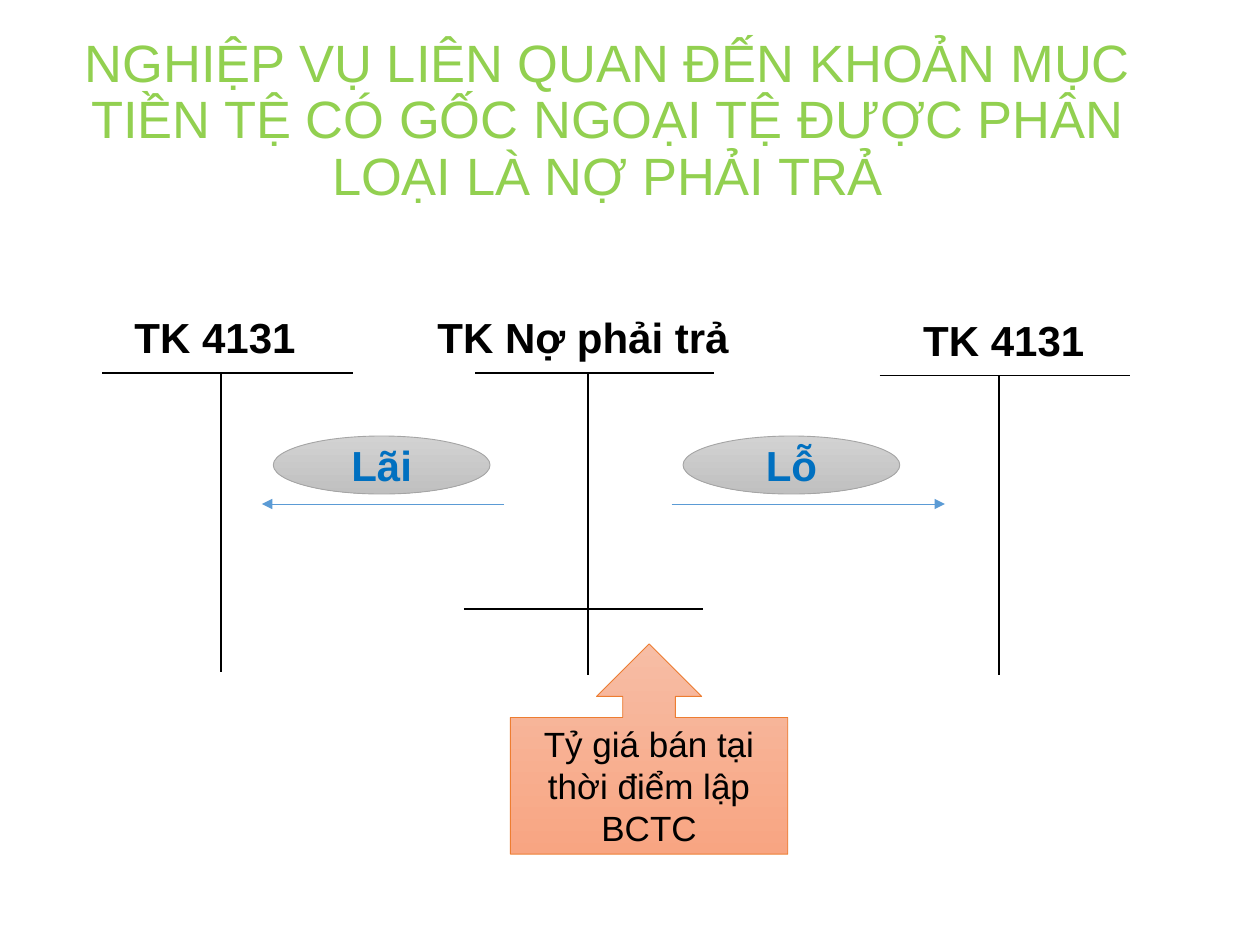
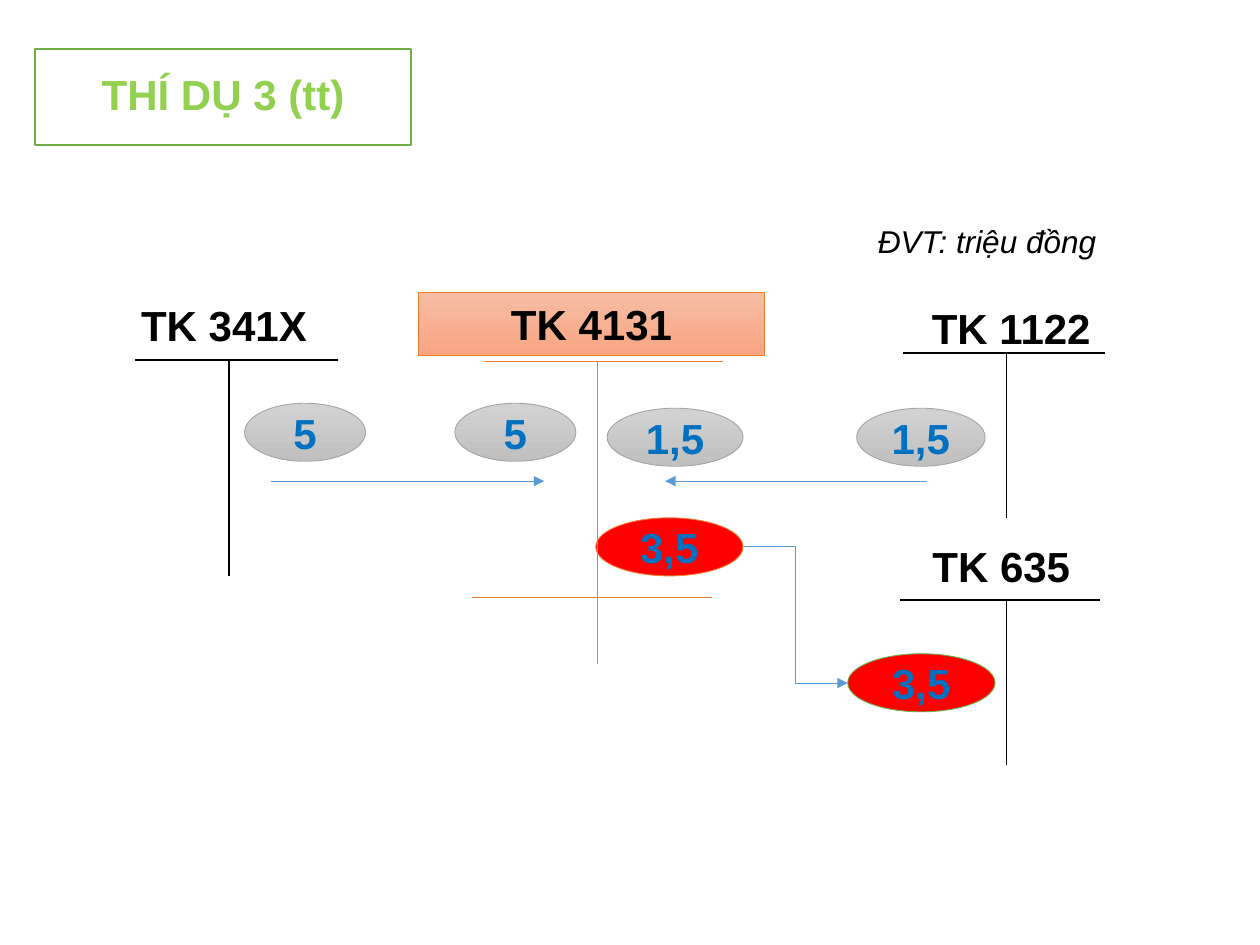
from dataclasses import dataclass
from typing import Optional

from lxml import etree
from pptx import Presentation
from pptx import util as u
from pptx.dml.color import RGBColor
from pptx.enum import shapes, text
from pptx.oxml import ns


# Shared look: colours, gradients (top, bottom) and type sizes
@dataclass(frozen=True)
class Theme:
    font: str = "Arial"
    black: str = "000000"
    white: str = "FFFFFF"
    title: str = "92D050"
    amount: str = "0070C0"
    flow: str = "5B9BD5"
    green: str = "70AD47"
    orange: str = "ED7D31"
    grey: str = "A5A5A5"
    red: str = "FF0000"
    grey_fill: tuple = ("D2D2D2", "C0C0C0")
    orange_fill: tuple = ("F7BDA5", "F8A582")
    heading_size: int = 30
    account_size: int = 24
    callout_size: int = 20
    unit_size: int = 18
    thin: float = 0.5
    thick: float = 1


THEME = Theme()
KIND = shapes.MSO_SHAPE
CONNECTOR = shapes.MSO_CONNECTOR
OVAL_HEIGHT = 1.17
LABEL_WIDTH, LABEL_HEIGHT = 6.99, 1.27
CLOSING_SHIFT = 0.23


# Drawing helpers, all lengths in centimetres
def rgb(colour: str) -> RGBColor:
    return RGBColor.from_string(colour)


def write(shape, words: str, size: int, colour: str, bold: bool = False,
          italic: bool = False, align=text.PP_ALIGN.CENTER, spacing: float = 1) -> None:
    frame = shape.text_frame
    frame.text = words
    paragraph = frame.paragraphs[0]
    formats = {
        frame: {"word_wrap": True, "vertical_anchor": text.MSO_ANCHOR.MIDDLE},
        paragraph: {"alignment": align, "line_spacing": spacing},
        paragraph.font: {"name": THEME.font, "size": u.Pt(size),
                         "bold": bold, "italic": italic},
    }
    for target, values in formats.items():
        for attribute, value in values.items():
            setattr(target, attribute, value)
    paragraph.font.color.rgb = rgb(colour)


def add_box(slide, kind, box: tuple, fill, outline: str, weight: float = THEME.thin):
    shape = slide.shapes.add_shape(kind, *map(u.Cm, box))
    shape.shadow.inherit = False
    if isinstance(fill, tuple):
        shape.fill.gradient()
        shape.fill.gradient_angle = 270
        for stop, colour in zip(shape.fill.gradient_stops, fill):
            stop.color.rgb = rgb(colour)
    else:
        shape.fill.solid()
        shape.fill.fore_color.rgb = rgb(fill)
    shape.line.color.rgb = rgb(outline)
    shape.line.width = u.Pt(weight)
    return shape


def add_line(slide, ends: tuple, colour: str, weight: float,
             arrow: bool = False, kind=CONNECTOR.STRAIGHT) -> None:
    line = slide.shapes.add_connector(kind, *map(u.Cm, ends))
    line.line.color.rgb = rgb(colour)
    line.line.width = u.Pt(weight)
    properties = line._element.spPr
    if arrow:
        etree.SubElement(properties.find(ns.qn("a:ln")), ns.qn("a:tailEnd"), type="triangle")
    etree.SubElement(properties, ns.qn("a:effectLst"))


# Repeated elements
@dataclass(frozen=True)
class Title:
    words: str
    box: tuple
    size: int
    outline: str
    weight: float = THEME.thin
    bold: bool = False

    def draw(self, slide) -> None:
        shape = add_box(slide, KIND.RECTANGLE, self.box, THEME.white, self.outline, self.weight)
        write(shape, self.words, self.size, THEME.title, self.bold, spacing=0.9)


@dataclass(frozen=True)
class Account:
    """A T-account: name, top bar, stem and an optional closing bar."""
    name: str
    corner: tuple
    bar: tuple
    bar_y: float
    stem_x: float
    stem_end: float
    closing_y: Optional[float] = None
    highlighted: bool = False

    def draw(self, slide) -> None:
        box = (*self.corner, LABEL_WIDTH, LABEL_HEIGHT)
        if self.highlighted:
            colour, weight = THEME.orange, THEME.thin
            label = add_box(slide, KIND.RECTANGLE, box, THEME.orange_fill, colour)
        else:
            colour, weight = THEME.black, THEME.thick
            label = slide.shapes.add_textbox(*map(u.Cm, box))
        write(label, self.name, THEME.account_size, THEME.black, bold=True)
        start, end = self.bar
        lines = [(start, self.bar_y, end, self.bar_y),
                 (self.stem_x, self.bar_y, self.stem_x, self.stem_end)]
        if self.closing_y is not None:
            lines.append((start - CLOSING_SHIFT, self.closing_y,
                          end - CLOSING_SHIFT, self.closing_y))
        for ends in lines:
            add_line(slide, ends, colour, weight)


@dataclass(frozen=True)
class Oval:
    words: str
    left: float
    top: float
    width: float
    fill: object = THEME.grey_fill
    outline: str = THEME.grey

    def draw(self, slide) -> None:
        box = (self.left, self.top, self.width, OVAL_HEIGHT)
        shape = add_box(slide, KIND.OVAL, box, self.fill, self.outline)
        write(shape, self.words, THEME.account_size, THEME.amount, bold=True)


@dataclass(frozen=True)
class Flow:
    ends: tuple
    kind: object = CONNECTOR.STRAIGHT

    def draw(self, slide) -> None:
        add_line(slide, self.ends, THEME.flow, THEME.thin, arrow=True, kind=self.kind)


@dataclass(frozen=True)
class Callout:
    words: str
    box: tuple

    def draw(self, slide) -> None:
        shape = add_box(slide, KIND.UP_ARROW_CALLOUT, self.box, THEME.orange_fill, THEME.orange)
        write(shape, self.words, THEME.callout_size, THEME.black)


@dataclass(frozen=True)
class UnitNote:
    words: str
    box: tuple

    def draw(self, slide) -> None:
        note = slide.shapes.add_textbox(*map(u.Cm, self.box))
        write(note, self.words, THEME.unit_size, THEME.black, italic=True,
              align=text.PP_ALIGN.LEFT)


# Slide 1: revaluation of foreign-currency liabilities
LIABILITIES = [
    Title("NGHIỆP VỤ LIÊN QUAN ĐẾN KHOẢN MỤC TIỀN TỆ CÓ GỐC NGOẠI TỆ "
          "ĐƯỢC PHÂN LOẠI LÀ NỢ PHẢI TRẢ",
          (0.84, 0.81, 22.83, 3.3), THEME.heading_size, THEME.white),
    Account("TK 4131", (16.74, 6.22), (17.73, 22.78), 7.57, 20.14, 13.61),
    Account("TK 4131", (0.84, 6.15), (2.06, 7.11), 7.52, 4.45, 13.54),
    Flow((13.54, 10.16, 19.05, 10.16)),
    Flow((10.16, 10.16, 5.28, 10.16)),
    Oval("Lãi", 5.51, 8.79, 4.37),
    Oval("Lỗ", 13.77, 8.79, 4.37),
    Callout("Tỷ giá bán tại thời điểm lập BCTC", (10.29, 12.98, 5.59, 4.24)),
    Account("TK Nợ phải trả", (8.26, 6.15), (9.58, 14.4), 7.52, 11.86, 13.61, 12.27),
]

# Slide 2: worked example, amounts moving between accounts
EXAMPLE = [
    Account("TK 1122", (16.89, 5.97), (18.21, 22.28), 7.11, 20.29, 10.44),
    Account("TK 341X", (1.02, 5.92), (2.72, 6.81), 7.26, 4.62, 11.61),
    Oval("3,5", 12.01, 10.44, 2.97, THEME.red, THEME.orange),
    Oval("1,5", 17.27, 8.23, 2.59),
    Account("TK 4131", (8.43, 5.89), (9.75, 14.58), 7.29, 12.04, 13.39, 12.04,
            highlighted=True),
    UnitNote("ĐVT: triệu đồng", (17.45, 4.34, 5.72, 1.02)),
    Oval("5", 4.93, 8.13, 2.44),
    Account("TK 635", (16.69, 10.77), (18.14, 22.17), 12.09, 20.29, 15.42),
    Oval("1,5", 12.24, 8.23, 2.74),
    Oval("5", 9.17, 8.13, 2.44),
    Oval("3,5", 17.09, 13.18, 2.97, THEME.red, THEME.green),
    Flow((14.99, 11.02, 17.09, 13.77), CONNECTOR.ELBOW),
    Flow((18.69, 9.7, 13.41, 9.7)),
    Flow((5.46, 9.7, 10.97, 9.7)),
    Title("THÍ DỤ 3 (tt)", (0.71, 0.99, 7.57, 1.93), THEME.account_size,
          THEME.green, THEME.thick, bold=True),
]


def main() -> None:
    deck = Presentation()
    deck.slide_width, deck.slide_height = u.Cm(25.4), u.Cm(19.05)
    for elements in (LIABILITIES, EXAMPLE):
        slide = deck.slides.add_slide(deck.slide_layouts[6])
        for element in elements:
            element.draw(slide)
    deck.save("out.pptx")


if __name__ == "__main__":
    main()
